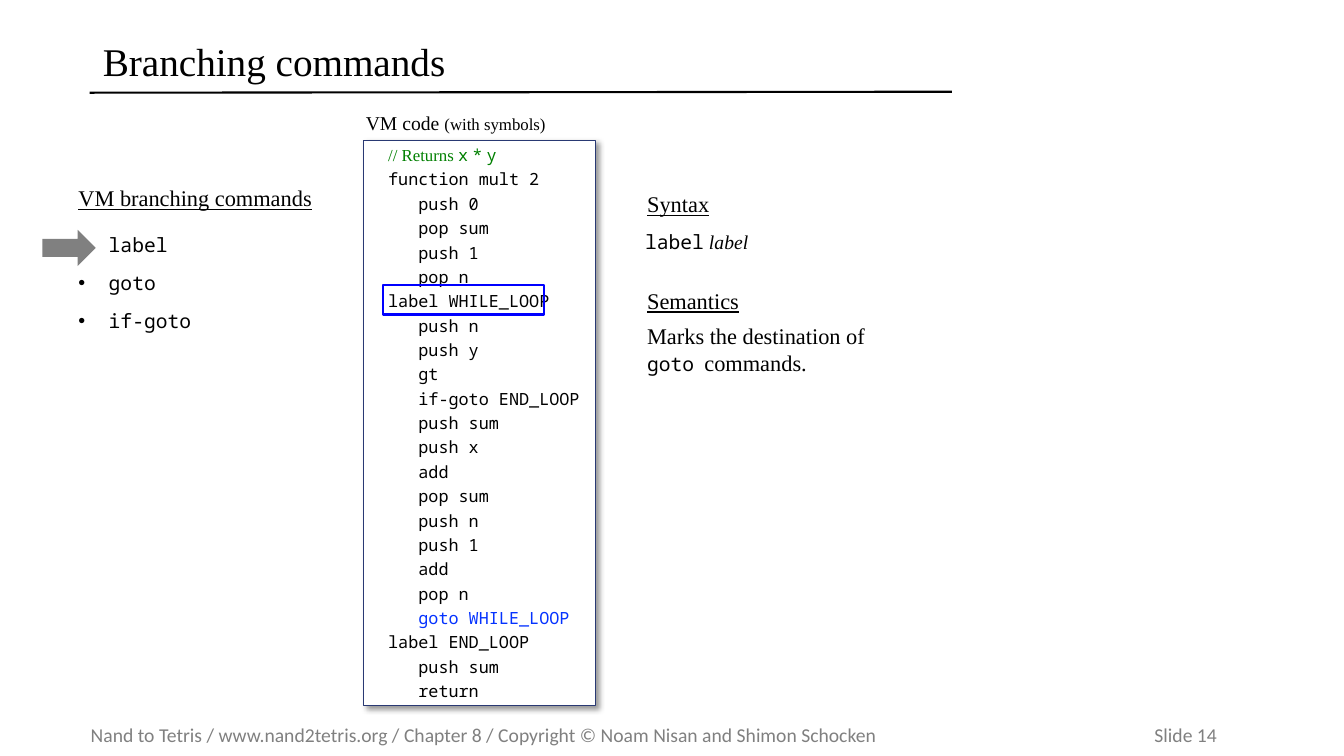
import pptx
import pptx.dml.color
import pptx.enum.shapes
import pptx.enum.text
import pptx.oxml
import pptx.oxml.ns
import pptx.util
from pptx.util import Inches

RGBColor = pptx.dml.color.RGBColor
SHAPE = pptx.enum.shapes.MSO_SHAPE
ANCHOR = pptx.enum.text.MSO_ANCHOR
BLACK = RGBColor(0x00, 0x00, 0x00)
WHITE = RGBColor(0xFF, 0xFF, 0xFF)
GRAY = RGBColor(0x80, 0x80, 0x80)
NAVY = RGBColor(0x29, 0x39, 0x73)
BLUE = RGBColor(0x00, 0x00, 0xFF)
GOTO_BLUE = RGBColor(0x04, 0x32, 0xFF)
GREEN = RGBColor(0x00, 0x80, 0x00)
SERIF, MONO, SANS = "Times New Roman", "Noto Sans Mono", "Calibri"

CODE = """function mult 2
   push 0
   pop sum
   push 1
   pop n
label WHILE_LOOP
   push n
   push y
   gt
   if-goto END_LOOP
   push sum
   push x
   add
   pop sum
   push n
   push 1
   add
   pop n
   goto WHILE_LOOP
label END_LOOP
   push sum
   return"""


def add_xml(parent, xml):
    """Append a DrawingML element to a parent element."""
    namespace = pptx.oxml.ns.nsdecls("a")
    parent.append(pptx.oxml.parse_xml(xml.replace(">", f" {namespace}>", 1)))


def add_run(paragraph, text, size, name=SERIF, color=BLACK, **extra):
    """Add a formatted run to a paragraph."""
    run = paragraph.add_run()
    run.text = text
    formats = {"size": pptx.util.Pt(size), "name": name, **extra}
    for attribute, value in formats.items():
        setattr(run.font, attribute, value)
    run.font.color.rgb = color


def set_spacing(paragraph, **points):
    """Set paragraph spacing values given in points."""
    for attribute, value in points.items():
        setattr(paragraph, attribute, pptx.util.Pt(value))


def set_frame(frame, anchor=ANCHOR.TOP, sides=(0.1, 0.1), ends=0.05):
    """Set wrapping, anchor and insets of a text frame."""
    formats = {
        "word_wrap": True,
        "vertical_anchor": anchor,
        "margin_left": Inches(sides[0]),
        "margin_right": Inches(sides[1]),
        "margin_top": Inches(ends),
        "margin_bottom": Inches(ends),
    }
    for attribute, value in formats.items():
        setattr(frame, attribute, value)
    return frame


def add_text(slide, left, top, width, height, **frame_formats):
    """Add a text box and return its frame."""
    box = slide.shapes.add_textbox(*map(Inches, (left, top, width, height)))
    return set_frame(box.text_frame, **frame_formats)


def add_block(slide, kind, left, top, width, height, fill=None, line=None, weight=1.5):
    """Add a preset shape with the given fill and outline."""
    block = slide.shapes.add_shape(kind, *map(Inches, (left, top, width, height)))
    block.shadow.inherit = False
    if fill is None:
        block.fill.background()
    else:
        block.fill.solid()
        block.fill.fore_color.rgb = fill
    if line is None:
        block.line.fill.background()
    else:
        block.line.color.rgb = line
        block.line.width = pptx.util.Pt(weight)
    return block


def add_footer(slide, left, top, width, height):
    """Place the copyright line with a tabbed slide number."""
    footer = add_text(slide, left, top, width, height, anchor=ANCHOR.MIDDLE, sides=(0, 0))
    paragraph = footer.paragraphs[0]
    add_xml(
        paragraph._p.get_or_add_pPr(),
        f'<a:tabLst><a:tab pos="{Inches(10.55)}" algn="l"/></a:tabLst>',
    )
    credit = "Nand to Tetris / www.nand2tetris.org / Chapter 8 / Copyright © Noam Nisan and Shimon Schocken"
    add_run(paragraph, credit + "\tSlide 14", 14, SANS, GRAY)


def add_heading(slide, left, top, width, height):
    """Place the slide title and the rule below it."""
    rule = slide.shapes.add_connector(
        pptx.enum.shapes.MSO_CONNECTOR.STRAIGHT,
        Inches(left - 0.03), Inches(top + 0.6), Inches(left + width - 0.01), Inches(top + 0.59),
    )
    rule.line.color.rgb = BLACK
    rule.line.width = pptx.util.Pt(1.5)
    add_xml(rule._element.spPr, "<a:effectLst></a:effectLst>")
    title = slide.shapes.title
    bounds = {"left": left, "top": top, "width": width, "height": height}
    for attribute, value in bounds.items():
        setattr(title, attribute, Inches(value))
    paragraph = set_frame(title.text_frame, anchor=ANCHOR.MIDDLE).paragraphs[0]
    paragraph.alignment = pptx.enum.text.PP_ALIGN.LEFT
    paragraph.line_spacing = 0.9
    add_run(paragraph, "Branching commands", 28)


def add_explanation(slide, left, top, width):
    """Place the syntax and semantics of the command."""
    syntax = add_text(slide, left, top, width, 0.42).paragraphs[0]
    add_run(syntax, "Syntax", 16, underline=True)
    usage = add_text(slide, left - 0.02, top + 0.39, width, 0.5).paragraphs[0]
    add_run(usage, "label", 14, MONO)
    add_run(usage, " label", 14, italic=True)
    semantics = add_text(slide, left, top + 0.96, width, 1.48)
    add_run(semantics.paragraphs[0], "Semantics", 16, underline=True)
    meaning = semantics.add_paragraph()
    set_spacing(meaning, space_before=6)
    add_run(meaning, "Marks the destination of", 16)
    meaning.add_line_break()
    add_run(meaning, "goto", 14, MONO)
    add_run(meaning, " ", 12, MONO)
    add_run(meaning, "commands.", 16)


def add_command_list(slide, left, top, width, height):
    """Place the list of branching commands and its pointer."""
    commands = add_text(slide, left, top, width, height)
    heading = commands.paragraphs[0]
    set_spacing(heading, space_after=9.1)
    add_run(heading, "VM branching commands", 16, underline=True)
    for command, gap in (("label", 6), ("goto", 10), ("if-goto", 10)):
        item = commands.add_paragraph()
        properties = item._p.get_or_add_pPr()
        properties.set("marL", str(Inches(0.3)))
        properties.set("indent", str(-Inches(0.3)))
        add_xml(properties, '<a:buFont typeface="Arial"></a:buFont>')
        add_xml(properties, '<a:buChar char="•"></a:buChar>')
        set_spacing(item, space_before=gap, line_spacing=17.1)
        add_run(item, command, 14, MONO)
    add_block(slide, SHAPE.RIGHT_ARROW, left - 0.26, top + 0.5, 0.53, 0.36, fill=GRAY)


def add_code_panel(slide, left, top, width, height):
    """Place the VM code panel, its caption and the highlight frame."""
    panel = add_block(slide, SHAPE.RECTANGLE, left, top, width, height, WHITE, NAVY, 0.75)
    effects = panel._element.spPr.find(pptx.oxml.ns.qn("a:effectLst"))
    add_xml(
        effects,
        '<a:outerShdw blurRad="50800" dist="38100" dir="2700000" algn="tl" rotWithShape="0">'
        '<a:srgbClr val="000000"><a:alpha val="40000"/></a:srgbClr></a:outerShdw>',
    )
    code = set_frame(panel.text_frame, anchor=ANCHOR.MIDDLE, sides=(0.24, 0.1), ends=0.21)
    comment = code.paragraphs[0]
    for text, font in (("// Returns ", SERIF), ("x", MONO), (" ", SERIF),
                       ("*", MONO), (" ", SERIF), ("y", MONO)):
        add_run(comment, text, 12, font, GREEN)
    for command in CODE.split("\n"):
        color = GOTO_BLUE if command.strip() == "goto WHILE_LOOP" else BLACK
        paragraph = code.add_paragraph()
        set_spacing(paragraph, space_before=3)
        add_run(paragraph, command, 12, MONO, color)
    for paragraph in code.paragraphs:
        paragraph.alignment = pptx.enum.text.PP_ALIGN.LEFT
        set_spacing(paragraph, line_spacing=14.4)
    caption = add_text(slide, left - 0.08, top - 0.34, 3.75, 0.42).paragraphs[0]
    add_run(caption, "VM code ", 14)
    add_run(caption, "(with symbols)", 12)
    add_block(slide, SHAPE.RECTANGLE, left + 0.19, top + 1.44, 1.6, 0.29, line=BLUE)


def main():
    """Build the slide and save it."""
    deck = pptx.Presentation()
    deck.slide_width, deck.slide_height = Inches(13.33), Inches(7.5)
    slide = deck.slides.add_slide(deck.slide_layouts[5])
    add_footer(slide, 0.9, 7.12, 12.25, 0.34)
    add_heading(slide, 0.92, 0.32, 8.53, 0.63)
    add_explanation(slide, 6.32, 1.84, 3.52)
    add_command_list(slide, 0.68, 1.78, 3.09, 2.15)
    add_code_panel(slide, 3.61, 1.39, 2.3, 5.61)
    deck.save("out.pptx")


if __name__ == "__main__":
    main()
